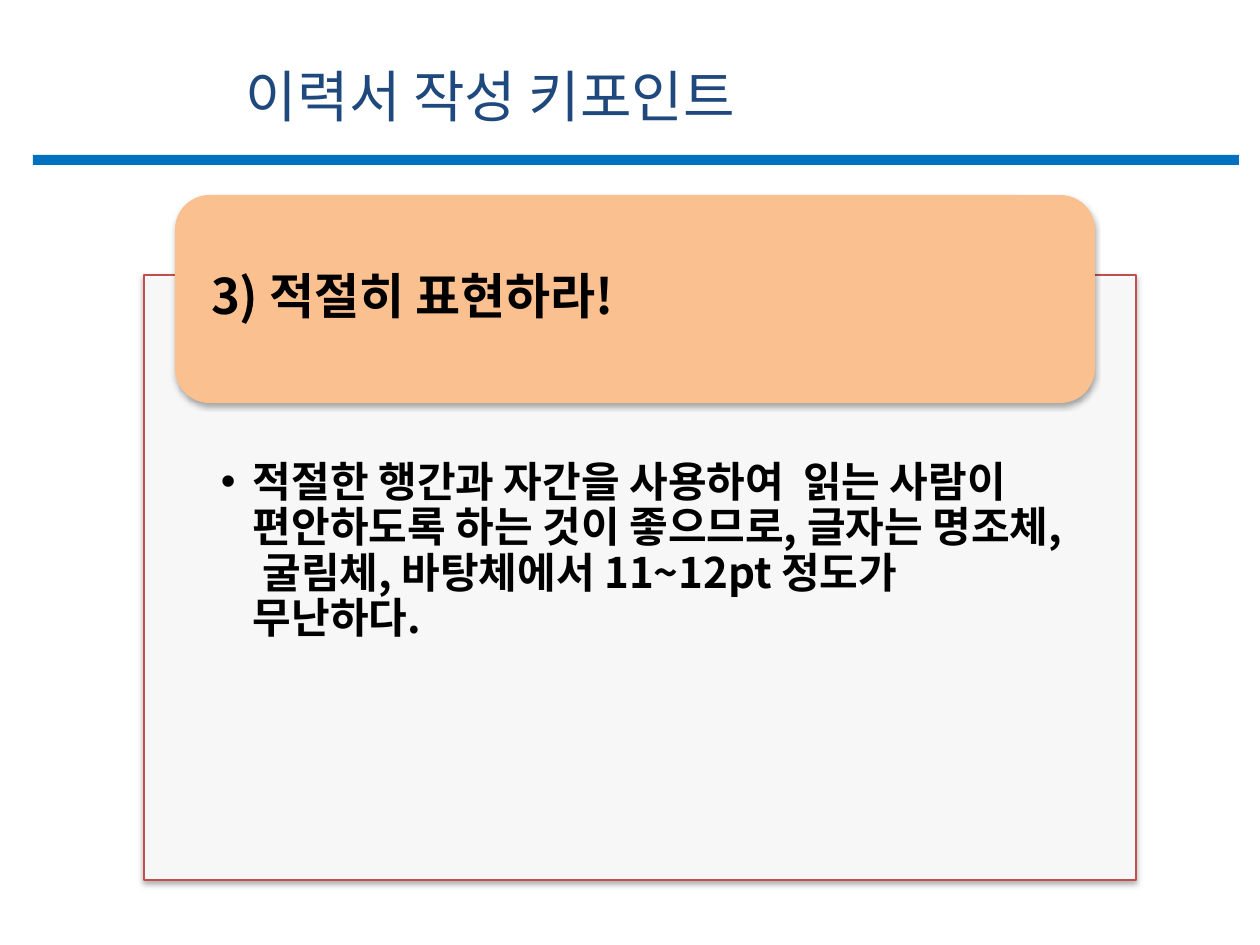
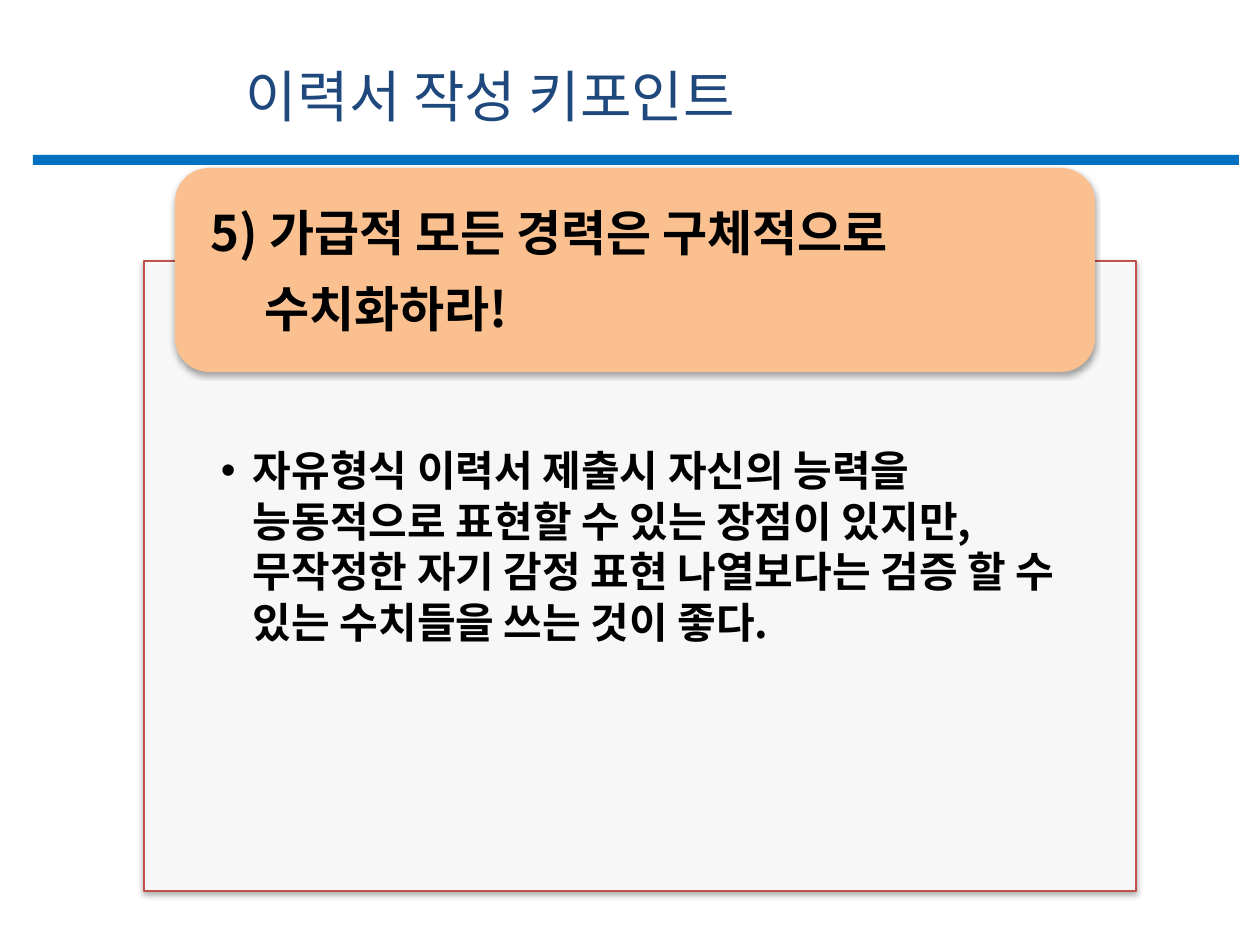
from lxml import etree
from pptx import Presentation
from pptx.dml.color import RGBColor
from pptx.enum.shapes import MSO_SHAPE
from pptx.enum.text import MSO_ANCHOR, MSO_AUTO_SIZE, PP_ALIGN
from pptx.oxml.ns import qn
from pptx.util import Emu, Pt

RECTANGLE, ROUNDED = MSO_SHAPE.RECTANGLE, MSO_SHAPE.ROUNDED_RECTANGLE
TOP, MIDDLE = MSO_ANCHOR.TOP, MSO_ANCHOR.MIDDLE
LEFT, NO_FIT = PP_ALIGN.LEFT, MSO_AUTO_SIZE.NONE

# Content: boxes are left, top, width, height in px
TITLE = "이력서 작성 키포인트"
KEY_POINTS = [
    {
        "heading": ["3) 적절히 표현하라!"],
        "advice": "적절한 행간과 자간을 사용하여  읽는 사람이 편안하도록 하는 것이 좋으므로, "
                  "글자는 명조체, 굴림체, 바탕체에서 11~12pt 정도가 무난하다.",
        "panel": (144, 275, 992, 605),
        "card": (175, 195, 920, 208),
        "advice_inset": 186,
        "line_spacing": 0.9,
    },
    {
        "heading": ["5) 가급적 모든 경력은 구체적으로", "수치화하라!"],
        "advice": "자유형식 이력서 제출시 자신의 능력을 능동적으로 표현할 수 있는 장점이 있지만, "
                  "무작정한 자기 감정 표현 나열보다는 검증 할 수 있는 수치들을 쓰는 것이 좋다.",
        "panel": (144, 261, 992, 630),
        "card": (175, 168, 920, 204),
        "advice_inset": 184,
        "line_spacing": 1.0,
    },
]

# Shared style
FONT = "Noto Sans CJK KR"
NAVY, BLUE, PEACH, RED = "1F497D", "0070C0", "FAC090", "C0504D"
WHITE, BLACK = "FFFFFF", "000000"
TITLE_BOX = (233, 55, 572, 81)
RULE_BOX = (33, 155, 1206, 10)
CARD_INSET, PANEL_INSET, PANEL_BOTTOM = 26, 77, 24
HEADING_INDENT, BULLET_INDENT = 54, 32
HEADING_SIZE, ADVICE_SIZE = 28, 24


def px(length):
    return Emu(round(length * 914400 / 126))


def color(value):
    return RGBColor.from_string(value)


def place(shape, box):
    shape.left, shape.top, shape.width, shape.height = map(px, box)


def child(parent, tag, **attributes):
    return etree.SubElement(parent, qn(tag), attributes)


def add_block(slide, kind, box, fill, line=None):
    shape = slide.shapes.add_shape(kind, *map(px, box))
    shape.shadow.inherit = False
    shape.fill.solid()
    shape.fill.fore_color.rgb = color(fill)
    if line:
        shape.line.color.rgb = color(line)
        shape.line.width = Pt(0.75)
    else:
        shape.line.fill.background()
    return shape


def add_shadow(shape):
    effects = shape._element.spPr.find(qn("a:effectLst"))
    shadow = child(effects, "a:outerShdw", blurRad="40000", dist="23000",
                   dir="5400000", rotWithShape="0")
    child(child(shadow, "a:srgbClr", val=BLACK), "a:alpha", val="35000")


def set_frame(shape, insets, anchor):
    frame = shape.text_frame
    frame.word_wrap = True
    frame.auto_size = NO_FIT
    frame.vertical_anchor = anchor
    (frame.margin_left, frame.margin_top,
     frame.margin_right, frame.margin_bottom) = map(px, insets)
    return frame


def write(paragraph, text, size, ink, bold=False, spacing=1.0, after=0):
    paragraph.alignment = LEFT
    paragraph.line_spacing = spacing
    paragraph.space_before = Pt(0)
    paragraph.space_after = Pt(after)
    run = paragraph.add_run()
    run.text = text
    run.font.size = Pt(size)
    run.font.bold = bold
    run.font.color.rgb = color(ink)
    run.font.name = FONT
    child(run._r.get_or_add_rPr(), "a:ea", typeface=FONT)


def indent(paragraph, left, first=0):
    properties = paragraph._p.get_or_add_pPr()
    properties.set("marL", str(px(left)))
    properties.set("indent", str(px(first)))
    return properties


def add_header(slide):
    title = slide.shapes.title
    place(title, TITLE_BOX)
    frame = set_frame(title, (13, 6, 13, 6), TOP)
    write(frame.paragraphs[0], TITLE, 32, NAVY)
    add_block(slide, RECTANGLE, RULE_BOX, BLUE)


def add_advice(slide, point):
    # The panel goes behind the body placeholder that holds its text
    panel = add_block(slide, RECTANGLE, point["panel"], WHITE, RED)
    panel_color = panel._element.spPr.find(qn("a:solidFill"))[0]
    child(panel_color, "a:alpha", val="90000")
    add_shadow(panel)
    body = slide.placeholders[1]
    body._element.addprevious(panel._element)

    place(body, point["panel"])
    insets = (PANEL_INSET, point["advice_inset"], PANEL_INSET, PANEL_BOTTOM)
    paragraph = set_frame(body, insets, TOP).paragraphs[0]
    write(paragraph, point["advice"], ADVICE_SIZE, BLACK, True,
          point["line_spacing"], ADVICE_SIZE * 0.15)
    properties = indent(paragraph, BULLET_INDENT, -BULLET_INDENT)
    child(properties, "a:buChar", char="•")


def add_heading(slide, point):
    card = add_block(slide, ROUNDED, point["card"], PEACH)
    add_shadow(card)
    frame = set_frame(card, (CARD_INSET, 0, CARD_INSET, 0), MIDDLE)
    for number, text in enumerate(point["heading"]):
        paragraph = frame.add_paragraph() if number else frame.paragraphs[0]
        write(paragraph, text, HEADING_SIZE, BLACK, True,
              point["line_spacing"], HEADING_SIZE * 0.35)
        if number:
            indent(paragraph, HEADING_INDENT)


def main():
    presentation = Presentation()
    presentation.slide_width, presentation.slide_height = px(1260), px(945)
    for point in KEY_POINTS:
        slide = presentation.slides.add_slide(presentation.slide_layouts[1])
        add_header(slide)
        add_advice(slide, point)
        add_heading(slide, point)
    presentation.save("out.pptx")


if __name__ == "__main__":
    main()
